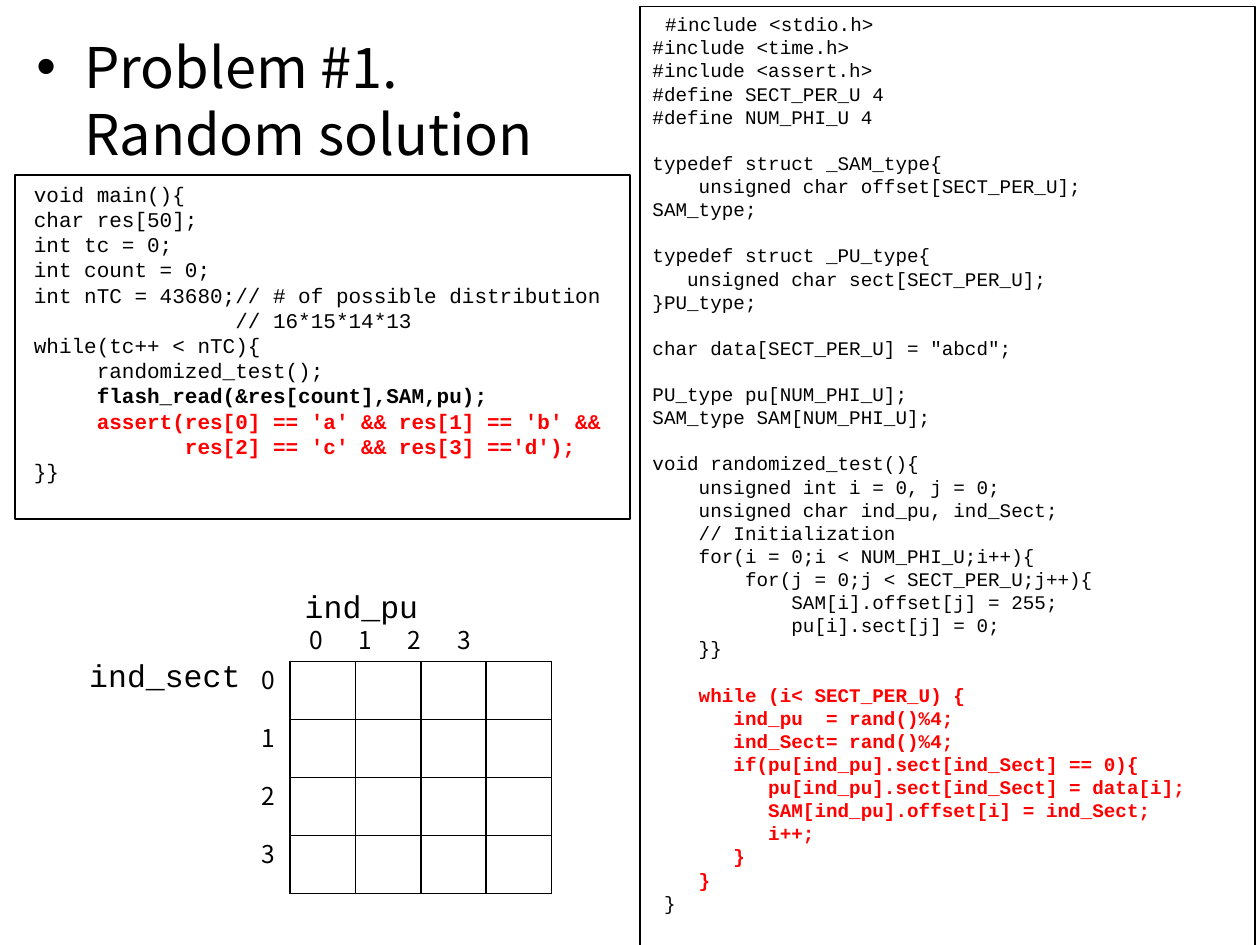
from lxml.etree import SubElement
from pptx import Presentation
from pptx.dml.color import RGBColor
from pptx.enum.shapes import MSO_SHAPE as Preset
from pptx.enum.text import MSO_ANCHOR as Anchor, PP_ALIGN as Align
from pptx.oxml.ns import qn
from pptx.util import Inches, Pt

COLORS = {"paper": "FFFFFF", "ink": "000000", "alert": "FF0000"}
CODE, BODY = "Courier New", "Noto Sans CJK KR"
LEADING = 1.2
COLUMNS, ROWS = 100, 75  # slide grid
CELL_W, CELL_H = 5.2, 4.6  # one table cell, in grid units

# Styled code: each block is (style, text)
HEADER_CODE = [("plain", """#include <stdio.h>
#include <time.h>
#include <assert.h>
#define SECT_PER_U 4
#define NUM_PHI_U 4

typedef struct _SAM_type{
    unsigned char offset[SECT_PER_U];
SAM_type;

typedef struct _PU_type{
   unsigned char sect[SECT_PER_U];
}PU_type;

char data[SECT_PER_U] = "abcd";

PU_type pu[NUM_PHI_U];
SAM_type SAM[NUM_PHI_U];

void randomized_test(){
    unsigned int i = 0, j = 0;
    unsigned char ind_pu, ind_Sect;
    // Initialization
    for(i = 0;i < NUM_PHI_U;i++){
        for(j = 0;j < SECT_PER_U;j++){
            SAM[i].offset[j] = 255;
            pu[i].sect[j] = 0;
    }}
"""), ("alert", """    while (i< SECT_PER_U) {
       ind_pu  = rand()%4;
       ind_Sect= rand()%4;
       if(pu[ind_pu].sect[ind_Sect] == 0){
          pu[ind_pu].sect[ind_Sect] = data[i];
          SAM[ind_pu].offset[i] = ind_Sect;
          i++;
       }
    }"""), ("plain", " }")]

MAIN_CODE = [("plain", """void main(){
char res[50];
int tc = 0;
int count = 0;
int nTC = 43680;// # of possible distribution
                // 16*15*14*13
while(tc++ < nTC){
     randomized_test();"""),
             ("bold", "     flash_read(&res[count],SAM,pu);"),
             ("alert", """     assert(res[0] == 'a' && res[1] == 'b' &&
            res[2] == 'c' && res[3] =='d');"""),
             ("plain", "}}")]

deck = Presentation()
deck.slide_width, deck.slide_height = Inches(10), Inches(7.5)
slide = deck.slides.add_slide(deck.slide_layouts[6])


def color(name):
    return RGBColor.from_string(COLORS[name])


def place(box):
    """Turn a box in grid units into slide lengths."""
    x, y, w, h = box
    unit_x, unit_y = deck.slide_width / COLUMNS, deck.slide_height / ROWS
    return [round(n) for n in (x * unit_x, y * unit_y, w * unit_x, h * unit_y)]


def write(paragraph, text, size, font, style="plain"):
    paragraph.line_spacing = Pt(size * LEADING)
    run = paragraph.add_run()
    run.text = text
    run.font.size, run.font.name = Pt(size), font
    run.font.bold = style != "plain"
    run.font.color.rgb = color("alert" if style == "alert" else "ink")
    props = run.font._element
    SubElement(props, qn("a:ea")).set("typeface", font)


def paragraphs(frame):
    """Yield the first paragraph, then new ones."""
    yield frame.paragraphs[0]
    while True:
        yield frame.add_paragraph()


def text_box(box, wrap=False):
    frame = slide.shapes.add_textbox(*place(box)).text_frame
    frame.word_wrap = wrap
    return frame


def code_panel(box, blocks, size, indents):
    """Framed code; an empty line becomes space before the next one."""
    panel = slide.shapes.add_shape(Preset.RECTANGLE, *place(box))
    panel.shadow.inherit = False
    panel.fill.solid()
    panel.fill.fore_color.rgb = color("paper")
    panel.line.color.rgb = color("ink")
    panel.line.width = Pt(0.75)
    frame = panel.text_frame
    frame.word_wrap, frame.vertical_anchor = True, Anchor.TOP
    lines = [(style, line) for style, text in blocks for line in text.split("\n")]
    following, gap = paragraphs(frame), 0
    for number, (style, line) in enumerate(lines):
        if not line:
            gap = size * LEADING
            continue
        paragraph = next(following)
        paragraph.alignment = Align.JUSTIFY
        paragraph.space_before = Pt(gap)
        indent = indents["first"] if number == 0 else indents["rest"]
        if indent:
            paragraph._p.get_or_add_pPr().set("indent", str(Inches(indent)))
        write(paragraph, line, size, CODE, style)
        gap = 0


def heading(box):
    paragraph = text_box(box, wrap=True).paragraphs[0]
    write(paragraph, "Problem #1. Random solution", 32, BODY)
    props = paragraph._p.get_or_add_pPr()
    props.set("marL", str(Inches(0.38)))
    props.set("indent", str(-Inches(0.38)))
    SubElement(props, qn("a:buFont")).set("typeface", "Arial")
    SubElement(props, qn("a:buChar")).set("char", "•")


def border(cell):
    props = cell._tc.get_or_add_tcPr()
    for place_in_order, side in enumerate(("lnL", "lnR", "lnT", "lnB")):
        edge = props.makeelement(qn(f"a:{side}"), {"w": str(Pt(1))})
        fill = SubElement(edge, qn("a:solidFill"))
        SubElement(fill, qn("a:srgbClr")).set("val", COLORS["ink"])
        props.insert(place_in_order, edge)


def sector_grid(box, count=4):
    """Empty square grid with index labels above and to the left."""
    x, y, w, h = box
    grid = slide.shapes.add_table(count, count, *place(box)).table
    grid.first_row = grid.horz_banding = False
    for column in grid.columns:
        column.width = place((0, 0, w / count, 0))[2]
    for row in grid.rows:
        row.height = place((0, 0, 0, h / count))[3]
    for cell in grid.iter_cells():
        cell.fill.solid()
        cell.fill.fore_color.rgb = color("paper")
        border(cell)

    # Axis names
    for name, left, top, width in (("ind_pu", x + 0.2, y - 6.4, 11.1),
                                   ("ind_sect", x - 16.9, y - 0.9, 14.1)):
        write(text_box((left, top, width, 4)).paragraphs[0], name, 18, CODE)

    # Column numbers on even tab stops
    numbers = text_box((x + 0.6, y - 3.4, 19.4, 3.4), wrap=True).paragraphs[0]
    write(numbers, "\t".join(map(str, range(count))), 14, BODY)
    stops = SubElement(numbers._p.get_or_add_pPr(), qn("a:tabLst"))
    for index in range(1, count):
        SubElement(stops, qn("a:tab"), pos=str(Inches(0.39 * index)), algn="l")

    # Row numbers, one per table row
    following = paragraphs(text_box((x - 3.2, y - 0.2, 6.5, 17.5)))
    for index in range(count):
        paragraph = next(following)
        if index:
            paragraph.space_before = Pt(CELL_H * 7.2 - 14 * LEADING)
        write(paragraph, str(index), 14, BODY)


code_panel((50.8, 0.5, 48.8, 75.9), HEADER_CODE, 11, {"first": 0.1, "rest": 0})
code_panel((1.2, 13.9, 48.8, 27.3), MAIN_CODE, 12, {"first": 0.05, "rest": 0.05})
heading((1.9, 2.1, 45, 11))
sector_grid((23, 52.5, 4 * CELL_W, 4 * CELL_H))

deck.save("out.pptx")
